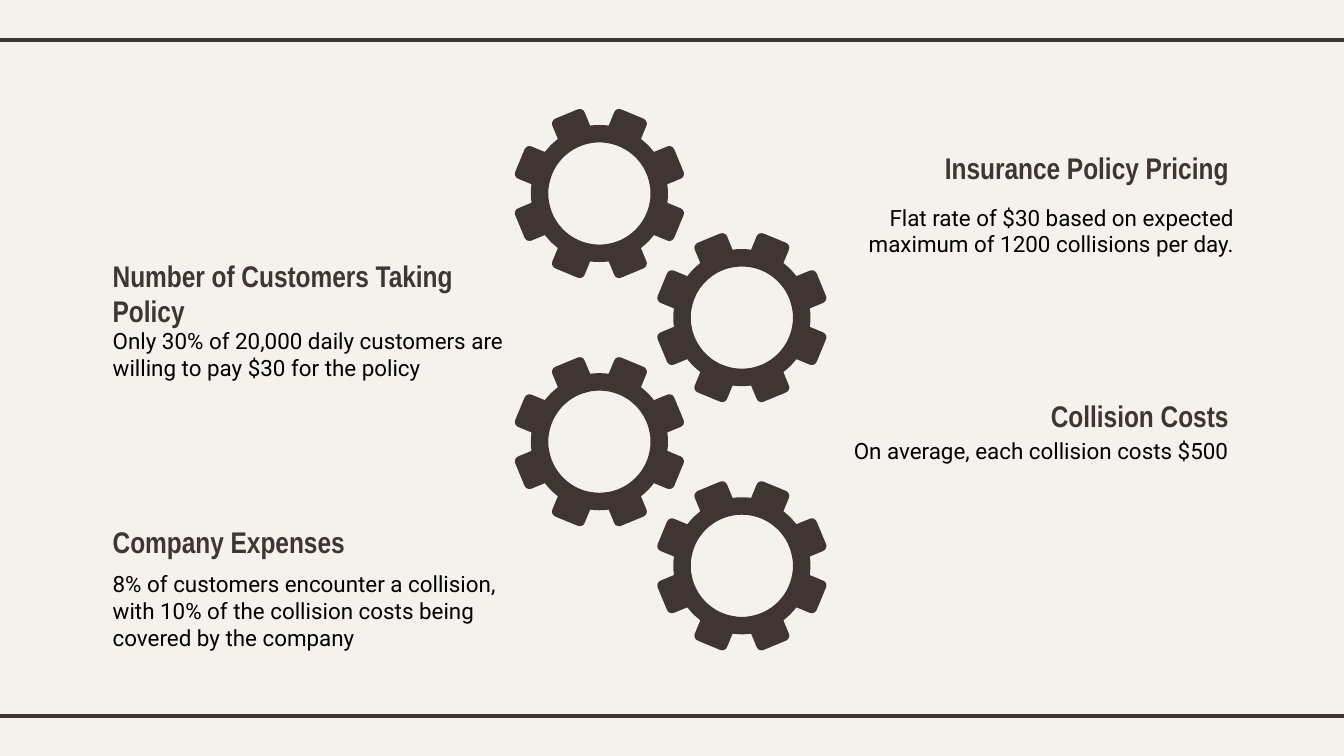
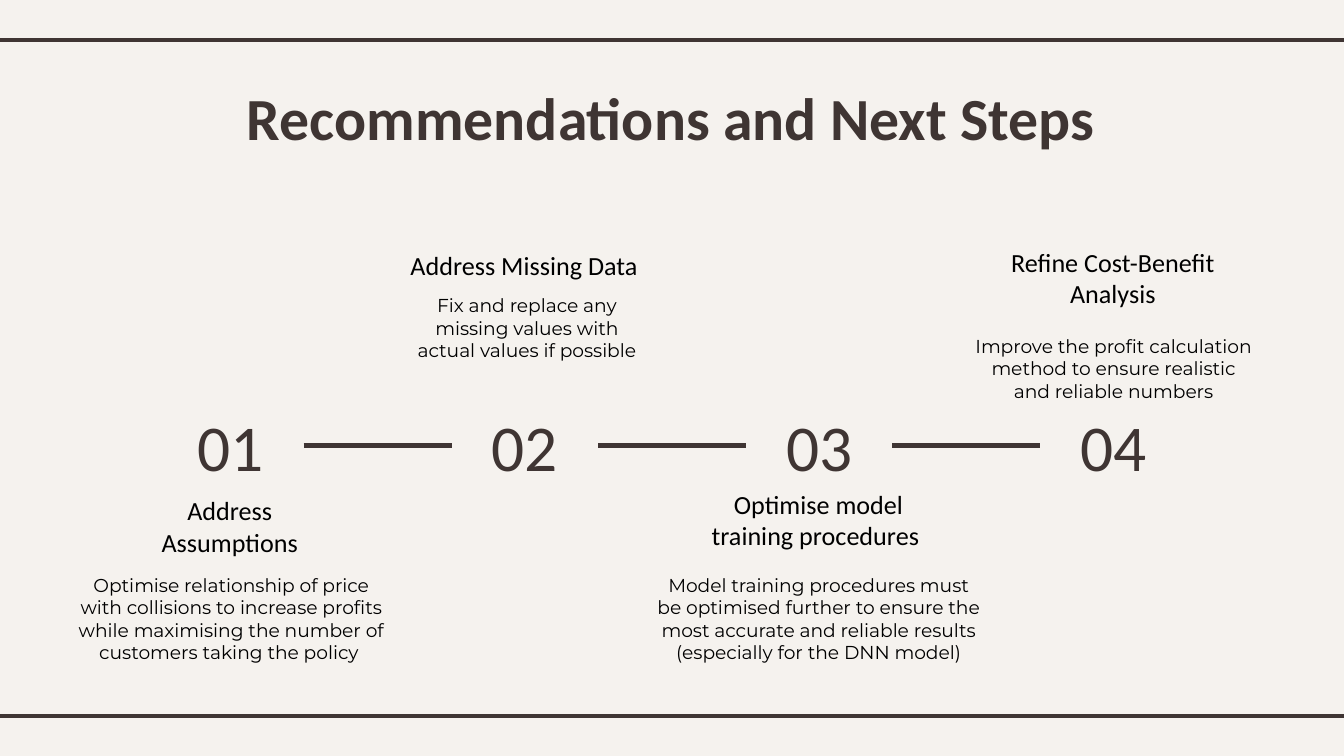
from dataclasses import dataclass
from math import asin, cos, pi, sin

from lxml import etree
from pptx import Presentation
from pptx.dml.color import RGBColor
from pptx.enum import shapes, text
from pptx.oxml import ns
from pptx.util import Inches, Pt


@dataclass(frozen=True)
class Style:
    font: str
    size: int
    color: RGBColor
    bold: bool = False


class Theme:
    paper = RGBColor.from_string("F5F2EE")
    brown = RGBColor.from_string("3F3533")
    black = RGBColor.from_string("000000")
    rule_width = Pt(2.25)
    inset = Inches(0.1)
    title = Style("Calibri", 32, brown, True)
    factor_head = Style("Arial Narrow", 16, brown, True)
    factor_body = Style("Roboto", 12, black)
    number = Style("Calibri", 35, brown)
    step_head = Style("Calibri", 14, black)
    step_body = Style("Montserrat", 10, black)


LEFT, CENTER, RIGHT = (text.PP_ALIGN.LEFT, text.PP_ALIGN.CENTER,
                       text.PP_ALIGN.RIGHT)
TOP, MIDDLE = text.MSO_ANCHOR.TOP, text.MSO_ANCHOR.MIDDLE

# Content: places are (left, top, width, height) in inches
RULE_TOPS = (0.3, 5.33)

FACTORS = [
    # alignment, heading, place, body, place
    (RIGHT, "Insurance Policy Pricing", (5.99, 1.11, 3.25, 0.28),
     "Flat rate of $30 based on expected maximum of 1200 collisions per day.",
     (6.19, 1.39, 3.09, 0.65)),
    (LEFT, "Number of Customers Taking Policy", (0.74, 2.04, 3.25, 0.28),
     "Only 30% of 20,000 daily customers are willing to pay $30 for the policy",
     (0.74, 2.32, 3.18, 0.63)),
    (RIGHT, "Collision Costs", (5.99, 2.95, 3.25, 0.28),
     "On average, each collision costs $500", (6.15, 3.17, 3.09, 0.36)),
    (LEFT, "Company Expenses", (0.74, 3.89, 3.25, 0.28),
     "8% of customers encounter a collision, with 10% of the collision costs "
     "being covered by the company", (0.74, 4.13, 3.09, 0.83)),
]

TITLE = "Recommendations and Next Steps"
STEPS = [
    # heading, place, body, place
    ("Address Assumptions", (0.77, 3.72, 1.88, 0.39),
     "Optimise relationship of price with collisions to increase profits while "
     "maximising the number of customers taking the policy ",
     (0.48, 4.17, 2.48, 0.88)),
    ("Address Missing Data", (2.88, 1.78, 2.04, 0.39),
     "Fix and replace any missing values with actual values if possible",
     (2.98, 2.09, 1.88, 0.63)),
    ("Optimise model training procedures ", (5.15, 3.67, 1.88, 0.39),
     "Model training procedures must be optimised further to ensure the most "
     "accurate and reliable results (especially for the DNN model)",
     (4.77, 4.17, 2.64, 0.88)),
    ("Refine Cost-Benefit Analysis", (7.34, 1.87, 1.88, 0.39),
     "Improve the profit calculation method to ensure realistic and reliable "
     "numbers", (7.13, 2.39, 2.31, 0.63)),
]

# Gear measures in inches
GEAR_COLUMNS = (4.46, 5.52)
GEAR_FIRST, GEAR_LAST = 1.44, 4.21
TEETH = 8
HOLE, BODY, TIP = 0.38, 0.51, 0.64
TOOTH_HALF, CORNER = 0.13, 0.04


# Shared helpers
def fill_text(shape, words, style, align, anchor):
    frame = shape.text_frame
    frame.text = words
    frame.word_wrap = True
    frame.auto_size = text.MSO_AUTO_SIZE.NONE
    frame.vertical_anchor = anchor
    frame.margin_left = frame.margin_right = Theme.inset
    frame.margin_top = frame.margin_bottom = Theme.inset
    para = frame.paragraphs[0]
    para.alignment = align
    para.font.name = style.font
    para.font.size = Pt(style.size)
    para.font.bold = style.bold
    para.font.color.rgb = style.color


def add_text(page, words, place, style, align=CENTER, anchor=MIDDLE):
    box = page.shapes.add_textbox(*map(Inches, place))
    fill_text(box, words, style, align, anchor)
    return box


def add_rule(page, x1, x2, y):
    rule = page.shapes.add_connector(
        shapes.MSO_CONNECTOR.STRAIGHT, *map(Inches, (x1, y, x2, y)))
    rule.line.color.rgb = Theme.brown
    rule.line.width = Theme.rule_width
    etree.SubElement(rule.element.spPr, ns.qn("a:effectLst"))
    return rule


def dress_master(deck, page):
    """Give the master its background and the two rules."""
    fill = deck.slide_master.background.fill
    fill.solid()
    fill.fore_color.rgb = Theme.paper
    for number, y in enumerate(RULE_TOPS):
        rule = add_rule(page, -0.08, 10.08, y)
        rule.element.nvCxnSpPr.cNvPr.set("id", str(100 + number))
        deck.slide_master.shapes.element.append(rule.element)


# Gears
def arc(radius, start, end, parts, cx=0, cy=0):
    angles = (start + (end - start) * i / parts for i in range(parts + 1))
    return [(cx + radius * cos(a), cy + radius * sin(a)) for a in angles]


def gear_outline():
    reach = TIP - CORNER
    shoulder = TOOTH_HALF - CORNER
    tip = (arc(CORNER, -pi / 2, 0, 4, reach, -shoulder)
           + arc(CORNER, 0, pi / 2, 4, reach, shoulder))
    pitch = 2 * pi / TEETH
    root = asin(TOOTH_HALF / BODY)
    tooth = tip + arc(BODY, root, pitch - root, 4)
    turns = [pitch * (i + 0.5) for i in range(TEETH)]
    return [(x * cos(t) - y * sin(t), x * sin(t) + y * cos(t))
            for t in turns for x, y in tooth]


def add_gear(page, cx, cy):
    rim, hole = [
        [(round((cx + x) * 1000), round((cy + y) * 1000)) for x, y in contour]
        for contour in (gear_outline(), arc(HOLE, 2 * pi, 0, 72))]
    builder = page.shapes.build_freeform(*rim[0], scale=Inches(1) / 1000)
    builder.add_line_segments(rim[1:], close=True)
    builder.move_to(*hole[0])
    builder.add_line_segments(hole[1:], close=True)
    gear = builder.convert_to_shape()
    gear.shadow.inherit = False
    gear.fill.solid()
    gear.fill.fore_color.rgb = Theme.brown
    gear.line.fill.background()


# Slides
def build_factors(page):
    drop = (GEAR_LAST - GEAR_FIRST) / (len(FACTORS) - 1)
    for i in range(len(FACTORS)):
        add_gear(page, GEAR_COLUMNS[i % 2], GEAR_FIRST + i * drop)
    for align, head, head_place, body, body_place in FACTORS:
        add_text(page, head, head_place, Theme.factor_head, align)
        add_text(page, body, body_place, Theme.factor_body, align)


def build_steps(page):
    title = page.shapes.title
    title.left, title.top, title.width, title.height = map(
        Inches, (1.38, 0.5, 7.23, 0.75))
    fill_text(title, TITLE, Theme.title, CENTER, TOP)

    # Numbers joined by rules
    first, pitch, width = 1.17, 2.19, 1.09
    numbers = []
    for i, (head, head_place, body, body_place) in enumerate(STEPS):
        place = (first + i * pitch, 2.95, width, 0.73)
        numbers.append(add_text(page, f"{i + 1:02}", place, Theme.number))
        add_text(page, head, head_place, Theme.step_head)
        add_text(page, body, body_place, Theme.step_body, anchor=TOP)
    for before, after in zip(numbers, numbers[1:]):
        rule = add_rule(page, 0, 1, 3.32)
        rule.begin_connect(before, 3)
        rule.end_connect(after, 1)


def main():
    deck = Presentation()
    deck.slide_width = Inches(10)
    deck.slide_height = Inches(10) * 9 // 16
    title_only, blank = deck.slide_layouts[5], deck.slide_layouts[6]
    factors = deck.slides.add_slide(blank)
    dress_master(deck, factors)
    build_factors(factors)
    build_steps(deck.slides.add_slide(title_only))
    deck.save("out.pptx")


if __name__ == "__main__":
    main()
